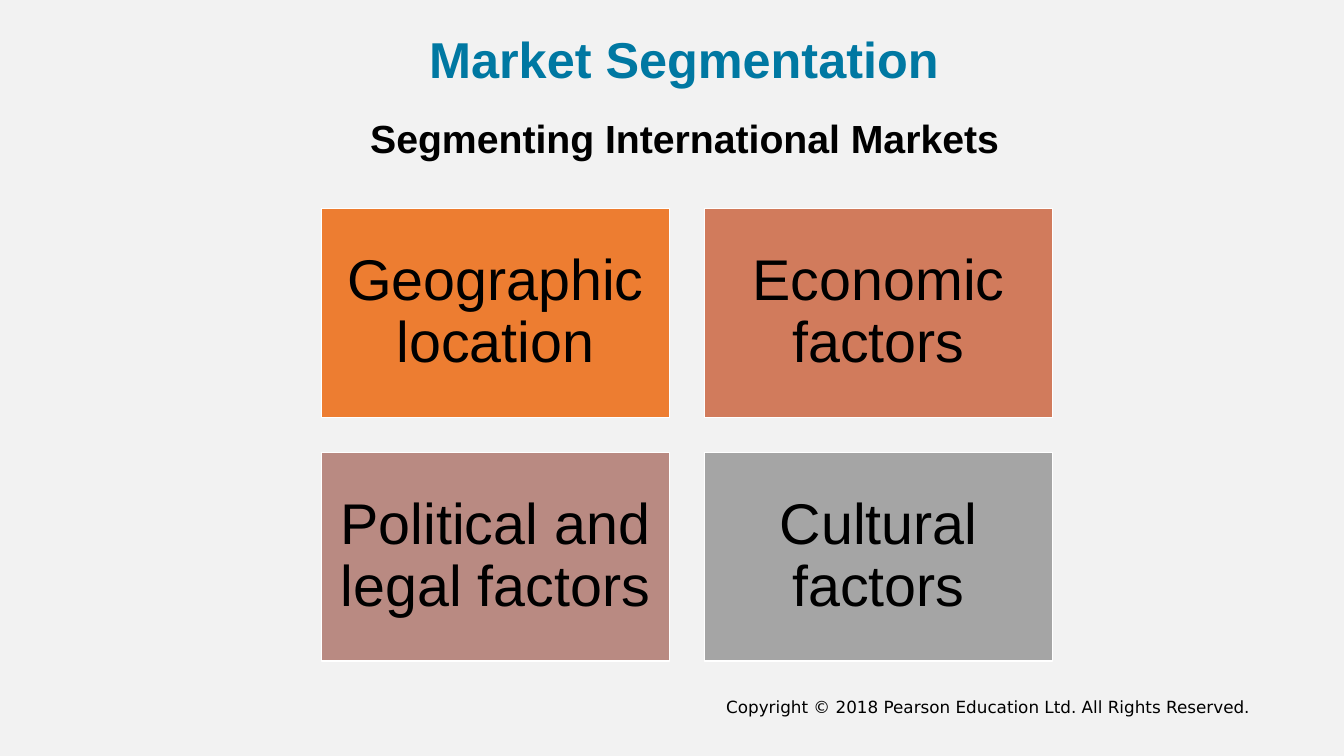
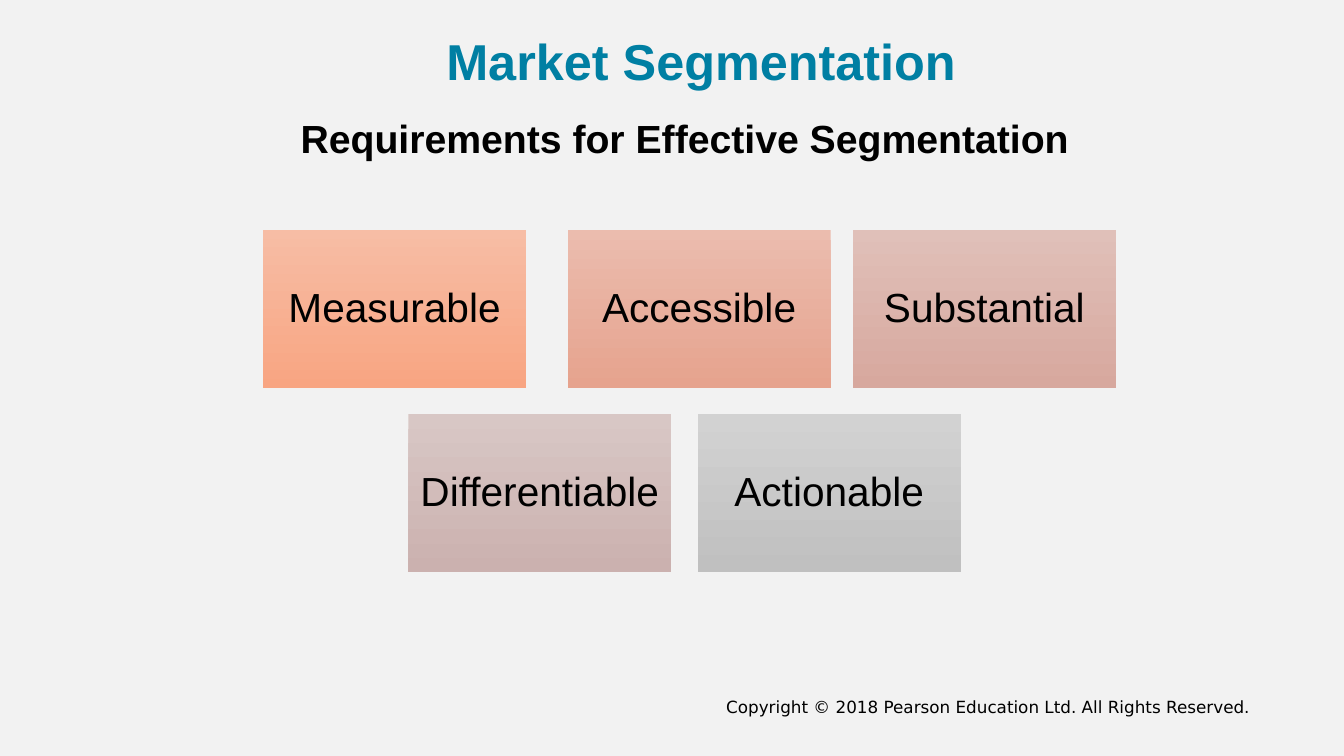
from pptx import Presentation
from pptx.dml.color import RGBColor
from pptx.enum import shapes, text
from pptx.util import Inches, Pt


def color(value):
    return RGBColor.from_string(value)


def write(shape, content, size, fill="000000", bold=False, font="Arial",
          align=text.PP_ALIGN.CENTER, anchor=text.MSO_ANCHOR.MIDDLE, spacing=0.9, inset=0.1):
    frame = shape.text_frame
    frame.word_wrap = True
    frame.auto_size = text.MSO_AUTO_SIZE.NONE
    frame.vertical_anchor = anchor
    frame.margin_left = frame.margin_right = Inches(inset)
    frame.margin_top = frame.margin_bottom = Inches(0.05)
    paragraph = frame.paragraphs[0]
    paragraph.alignment = align
    paragraph.line_spacing = spacing
    paragraph.space_before = Pt(0)
    run = paragraph.add_run()
    run.text = content
    run.font.name = font
    run.font.size = Pt(size)
    run.font.bold = bold
    run.font.color.rgb = color(fill)


COPYRIGHT = "Copyright © 2018 Pearson Education Ltd. All Rights Reserved."

slides = [
    {
        "title_box": (3.01, 0.23, 7.55, 0.78),
        "title_color": "0078A2",
        "subtitle": "Segmenting International Markets",
        "box_size": (3.45, 2.07),
        "text_size": 41,
        "inset": 0.17,
        "outline": "FFFFFF",
        "rows": [
            (2.07, [(3.19, "Geographic location", ["ED7D31"]),
                    (6.99, "Economic factors", ["D17B5C"])]),
            (4.49, [(3.19, "Political and legal factors", ["B98A82"]),
                    (6.99, "Cultural factors", ["A5A5A5"])]),
        ],
    },
    {
        "title_box": (2.91, 0.26, 8.09, 0.75),
        "title_color": "007FA3",
        "subtitle": "Requirements for Effective Segmentation",
        "box_size": (2.61, 1.57),
        "text_size": 29,
        "inset": 0.1,
        "outline": None,
        "rows": [
            (2.28, [(2.61, "Measurable", ["F7BDA5", "F8A582"]),
                    (5.63, "Accessible", ["EBBCAE", "E6A38E"]),
                    (8.46, "Substantial", ["E0C0B9", "D7A89E"])]),
            (4.11, [(4.05, "Differentiable", ["D8C7C5", "CBB1AF"]),
                    (6.92, "Actionable", ["D2D2D2", "C0C0C0"])]),
        ],
    },
]

presentation = Presentation()
presentation.slide_width = Inches(13.33)
presentation.slide_height = Inches(7.5)
background = presentation.slide_master.background.fill
background.solid()
background.fore_color.rgb = color("F2F2F2")

for content in slides:
    slide = presentation.slides.add_slide(presentation.slide_layouts[5])

    title = slide.shapes.title
    title.left, title.top, title.width, title.height = map(Inches, content["title_box"])
    write(title, "Market Segmentation", 36, content["title_color"], bold=True)

    subtitle = slide.shapes.add_textbox(*map(Inches, (1.57, 1.24, 10.44, 0.42)))
    write(subtitle, content["subtitle"], 28, bold=True, anchor=text.MSO_ANCHOR.BOTTOM)

    width, height = content["box_size"]
    for top, boxes in content["rows"]:
        for left, label, fills in boxes:
            box = slide.shapes.add_shape(
                shapes.MSO_SHAPE.RECTANGLE, *map(Inches, (left, top, width, height)))
            box.shadow.inherit = False
            if len(fills) == 1:
                box.fill.solid()
                box.fill.fore_color.rgb = color(fills[0])
            else:
                box.fill.gradient()
                box.fill.gradient_angle = 270
                for stop, fill in zip(box.fill.gradient_stops, fills):
                    stop.color.rgb = color(fill)
            if content["outline"]:
                box.line.color.rgb = color(content["outline"])
                box.line.width = Pt(1)
            else:
                box.line.fill.background()
            write(box, label, content["text_size"], inset=content["inset"])

    footer = slide.shapes.add_textbox(*map(Inches, (5.16, 6.86, 7.34, 0.4)))
    write(footer, COPYRIGHT, 12, font="DejaVu Sans", align=text.PP_ALIGN.RIGHT,
          anchor=text.MSO_ANCHOR.TOP, spacing=1.0)

presentation.save("out.pptx")
